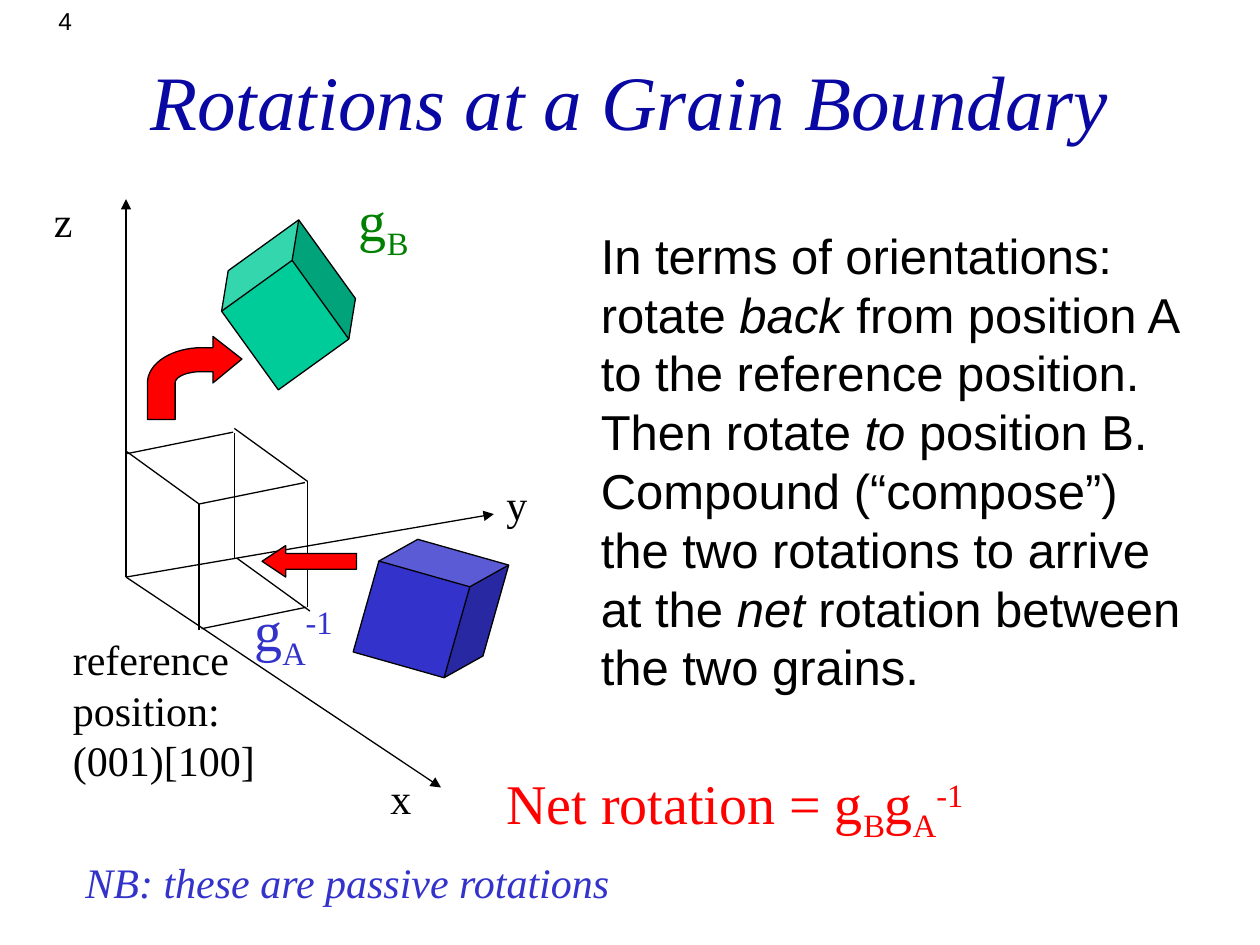
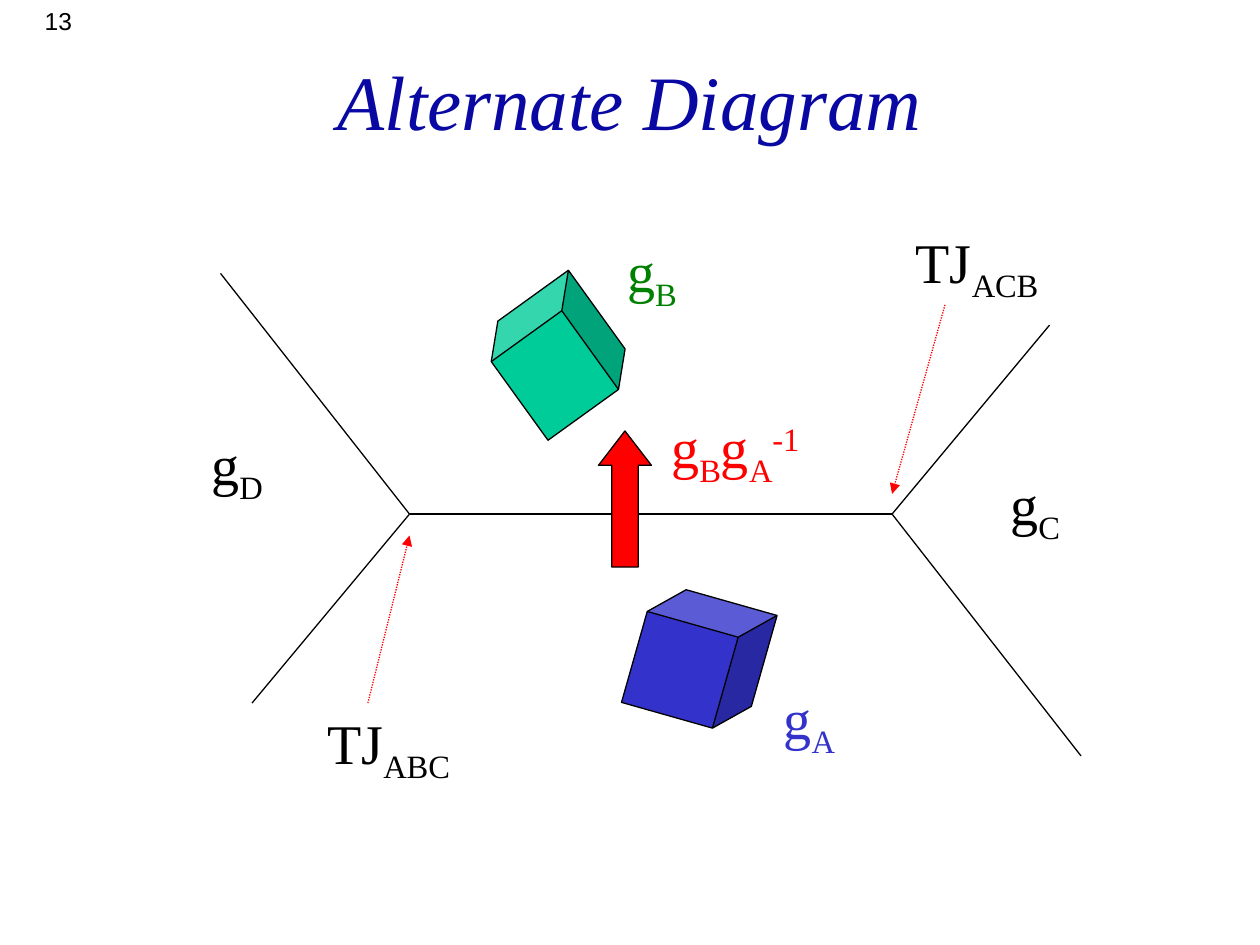
from dataclasses import dataclass
from math import cos, pi, sin
from typing import NamedTuple

from lxml.etree import SubElement
from pptx import Presentation
from pptx.dml.color import RGBColor
from pptx.enum.dml import MSO_LINE
from pptx.enum.shapes import MSO_CONNECTOR, MSO_SHAPE
from pptx.enum.text import MSO_ANCHOR, MSO_AUTO_SIZE, PP_ALIGN
from pptx.oxml.ns import qn
from pptx.util import Inches, Pt

# Shared colours, fonts and formats
BLACK = RGBColor(0x00, 0x00, 0x00)
RED = RGBColor(0xFF, 0x00, 0x00)
TITLE_BLUE = RGBColor(0x09, 0x08, 0xA3)
GRAIN_A_BLUE = RGBColor(0x33, 0x33, 0xCC)
GRAIN_B_FILL = RGBColor(0x00, 0xCC, 0x99)
GRAIN_B_TEXT = RGBColor(0x00, 0x80, 0x00)
SERIF = "Times New Roman"
SANS = "Arial"
LINE_WIDTH = Pt(0.75)
LINE_HEIGHT = 1.2
SUBSCRIPT, SUPERSCRIPT = -25, 30
TITLE_FRAME = {"vertical_anchor": MSO_ANCHOR.MIDDLE, "word_wrap": True,
               "auto_size": MSO_AUTO_SIZE.NONE}
LABEL_FRAME = {"word_wrap": False, "auto_size": MSO_AUTO_SIZE.SHAPE_TO_FIT_TEXT}
NUMBER_FRAME = {"word_wrap": True, "auto_size": MSO_AUTO_SIZE.NONE}


class Run(NamedTuple):
    text: str
    baseline: int = 0
    italic: bool = False


@dataclass
class Label:
    left: float
    top: float
    width: float
    height: float
    paragraphs: list[list[Run]]
    size: int = 32
    color: RGBColor = BLACK
    font: str = SERIF


class Line(NamedTuple):
    start: tuple[float, float]
    end: tuple[float, float]
    arrow: bool = False
    dotted: bool = False
    color: RGBColor = BLACK


@dataclass
class Solid:
    kind: MSO_SHAPE
    left: float
    top: float
    width: float
    height: float
    fill: RGBColor
    adjustments: tuple[float, ...]
    rotation: float = 0


def set_attributes(target, values: dict) -> None:
    for name, value in values.items():
        setattr(target, name, value)


def style_outline(shape, fill: RGBColor) -> None:
    shape.shadow.inherit = False
    shape.fill.solid()
    shape.fill.fore_color.rgb = fill
    shape.line.color.rgb = BLACK
    shape.line.width = LINE_WIDTH


def add_run(paragraph, part: Run, label: Label) -> None:
    for index, text in enumerate(part.text.split("\n")):
        if index:
            paragraph.add_line_break()
        run = paragraph.add_run()
        run.text = text
        set_attributes(run.font, {"name": label.font, "size": Pt(label.size),
                                  "italic": part.italic})
        run.font.color.rgb = label.color
        if part.baseline:
            run.font._element.set("baseline", str(part.baseline * 1000))


def add_label(slide, label: Label) -> None:
    box = slide.shapes.add_textbox(Inches(label.left), Inches(label.top),
                                   Inches(label.width), Inches(label.height))
    frame = box.text_frame
    set_attributes(frame, LABEL_FRAME)
    for index, parts in enumerate(label.paragraphs):
        paragraph = frame.add_paragraph() if index else frame.paragraphs[0]
        paragraph.line_spacing = Pt(label.size * LINE_HEIGHT)
        for part in parts:
            add_run(paragraph, part, label)


def add_line(slide, line: Line) -> None:
    connector = slide.shapes.add_connector(
        MSO_CONNECTOR.STRAIGHT, *(Inches(value) for value in line.start + line.end))
    connector.line.color.rgb = line.color
    connector.line.width = LINE_WIDTH
    if line.dotted:
        connector.line.dash_style = MSO_LINE.ROUND_DOT
    properties = connector._element.spPr
    if line.arrow:
        SubElement(properties.find(qn("a:ln")), qn("a:tailEnd"), type="triangle")
    SubElement(properties, qn("a:effectLst"))


def add_solid(slide, solid: Solid) -> None:
    shape = slide.shapes.add_shape(solid.kind, Inches(solid.left), Inches(solid.top),
                                   Inches(solid.width), Inches(solid.height))
    shape.rotation = solid.rotation
    for index, value in enumerate(solid.adjustments):
        shape.adjustments[index] = value
    style_outline(shape, solid.fill)


def add_grain_a(slide, left: float, top: float) -> None:
    add_solid(slide, Solid(MSO_SHAPE.CUBE, left, top, 1, 1, GRAIN_A_BLUE, (0.25,), 15.8))


def add_grain_b(slide, left: float, top: float) -> None:
    add_solid(slide, Solid(MSO_SHAPE.CUBE, left, top, 0.92, 1, GRAIN_B_FILL, (0.25,), 324.2))


def add_curved_arrow(slide) -> None:
    """Draw the arrow that turns from the reference cube to grain B."""
    center_x, center_y, steps = 1.6, 3.04, 16

    def bend(radius_x: float, radius_y: float) -> list[tuple[float, float]]:
        angles = [pi / 2 * step / steps for step in range(steps + 1)]
        return [(center_x - radius_x * sin(angle), center_y - radius_y * cos(angle))
                for angle in angles]

    points = [(1.92, 2.85), (1.69, 2.67), (1.69, 2.76), *bend(0.43, 0.28),
              (1.17, 3.33), (1.39, 3.33), *reversed(bend(0.21, 0.09)),
              (1.69, 2.95), (1.69, 3.04)]
    corners = [(Inches(x), Inches(y)) for x, y in points]
    builder = slide.shapes.build_freeform(*corners[0])
    builder.add_line_segments(corners[1:], close=True)
    style_outline(builder.convert_to_shape(), RED)


def add_titled_slide(presentation, title_text: str, number: int):
    slide = presentation.slides.add_slide(presentation.slide_layouts[5])
    # Page number
    box = slide.shapes.add_textbox(0, 0, Inches(0.67), Inches(0.33))
    set_attributes(box.text_frame, NUMBER_FRAME)
    paragraph = box.text_frame.paragraphs[0]
    paragraph.alignment = PP_ALIGN.RIGHT
    add_run(paragraph, Run(str(number)), Label(0, 0, 0, 0, [], 14, BLACK, SANS))
    # Title
    title = slide.shapes.title
    set_attributes(title, {"left": Inches(0.75), "top": Inches(0.17),
                           "width": Inches(8.5), "height": Inches(1.25)})
    set_attributes(title.text_frame, TITLE_FRAME)
    paragraph = title.text_frame.paragraphs[0]
    paragraph.alignment = PP_ALIGN.CENTER
    add_run(paragraph, Run(title_text, italic=True),
            Label(0, 0, 0, 0, [], 44, TITLE_BLUE))
    return slide


def orientation(grain: str, inverse: bool = False) -> list[Run]:
    runs = [Run("g"), Run(grain, SUBSCRIPT)]
    return runs + [Run("-1", SUPERSCRIPT)] if inverse else runs


NET_ROTATION = orientation("B") + orientation("A", inverse=True)


def build_rotations(presentation) -> None:
    slide = add_titled_slide(presentation, "Rotations at a Grain Boundary", 4)

    # Sample axes
    origin = (1, 4.58)
    for tip in [(3.5, 6.25), (3.92, 4.08), (1, 1.58)]:
        add_line(slide, Line(origin, tip, arrow=True))
    for name, left, top in [("x", 3, 6.08), ("z", 0.33, 1.5), ("y", 3.92, 3.75)]:
        add_label(slide, Label(left, top, 0.37, 0.5, [[Run(name)]], 24))

    # Grains and their orientations
    add_grain_b(slide, 1.83, 1.92)
    add_grain_a(slide, 2.92, 4.33)
    add_label(slide, Label(1.92, 4.75, 0.88, 0.63, [orientation("A", inverse=True)],
                           color=GRAIN_A_BLUE))
    add_label(slide, Label(2.75, 1.5, 0.62, 0.63, [orientation("B")], color=GRAIN_B_TEXT))

    # Wireframe of the reference cube
    reference_edges = [
        ((1.58, 5), (1.58, 4)), ((1.86, 4.44), (1.86, 3.44)),
        ((1.6, 4.99), (2.43, 4.82)), ((1.01, 3.6), (1.85, 3.43)),
        ((1.58, 4), (2.42, 3.83)), ((1.88, 4.43), (2.46, 4.85)),
        ((1.86, 3.4), (2.44, 3.82)), ((1, 3.58), (1.58, 4)),
        ((2.44, 4.82), (2.44, 3.82)),
    ]
    for start, end in reference_edges:
        add_line(slide, Line(start, end))

    # Rotation arrows
    add_curved_arrow(slide)
    add_solid(slide, Solid(MSO_SHAPE.LEFT_ARROW, 2.08, 4.33, 0.75, 0.25, RED, (0.5, 0.75)))

    # Explanation
    explanation = [
        [Run("In terms of orientations:")],
        [Run("rotate "), Run("back", italic=True),
         Run(" from position A\nto the reference position.\nThen rotate "),
         Run("to", italic=True),
         Run(" position B.\nCompound (“compose”)\nthe two rotations to arrive\nat the "),
         Run("net", italic=True), Run(" rotation between\nthe two grains.")],
    ]
    add_label(slide, Label(4.67, 1.74, 4.83, 3.84, explanation, 28, font=SANS))
    add_label(slide, Label(0.48, 4.98, 1.65, 1.3,
                           [[Run("reference\nposition:\n(001)[100]")]], 24))
    add_label(slide, Label(3.92, 6.12, 3.9, 0.63,
                           [[Run("Net rotation = "), *NET_ROTATION]], color=RED))
    add_label(slide, Label(0.58, 6.75, 4.39, 0.5,
                           [[Run("NB: these are passive rotations", italic=True)]],
                           24, GRAIN_A_BLUE))


def build_alternate_diagram(presentation) -> None:
    slide = add_titled_slide(presentation, "Alternate Diagram", 13)

    # Grain boundaries meeting at two triple junctions
    left_junction, right_junction = (3.25, 4.08), (7.08, 4.08)
    add_line(slide, Line(left_junction, right_junction))
    for junction, ends in [(left_junction, [(2, 5.58), (1.75, 2.17)]),
                           (right_junction, [(8.33, 2.58), (8.58, 6)])]:
        for end in ends:
            add_line(slide, Line(junction, end))

    # Grains and their orientations
    add_grain_b(slide, 3.97, 2.32)
    add_grain_a(slide, 5.05, 4.73)
    for grain, left, top, color in [("A", 6.12, 5.45, GRAIN_A_BLUE),
                                    ("B", 4.88, 1.9, GRAIN_B_TEXT),
                                    ("C", 7.92, 3.75, BLACK),
                                    ("D", 1.58, 3.43, BLACK)]:
        add_label(slide, Label(left, top, 0.63, 0.63, [orientation(grain)], color=color))

    # Triple junction labels and pointers
    for grains, left, top, start, end in [
            ("ABC", 2.5, 5.65, (2.92, 5.58), (3.25, 4.25)),
            ("ACB", 7.17, 1.83, (7.5, 2.42), (7.08, 3.92))]:
        add_label(slide, Label(left, top, 1.24, 0.63,
                               [[Run("TJ"), Run(grains, SUBSCRIPT)]]))
        add_line(slide, Line(start, end, arrow=True, dotted=True, color=RED))

    # Net rotation across the boundary
    add_solid(slide, Solid(MSO_SHAPE.UP_ARROW, 4.75, 3.42, 0.42, 1.08, RED, (0.5, 0.65)))
    add_label(slide, Label(5.23, 3.3, 1.29, 0.63, [NET_ROTATION], color=RED))


def main() -> None:
    presentation = Presentation()
    presentation.slide_width = Inches(10)
    presentation.slide_height = Inches(7.5)
    build_rotations(presentation)
    build_alternate_diagram(presentation)
    presentation.save("out.pptx")


if __name__ == "__main__":
    main()
